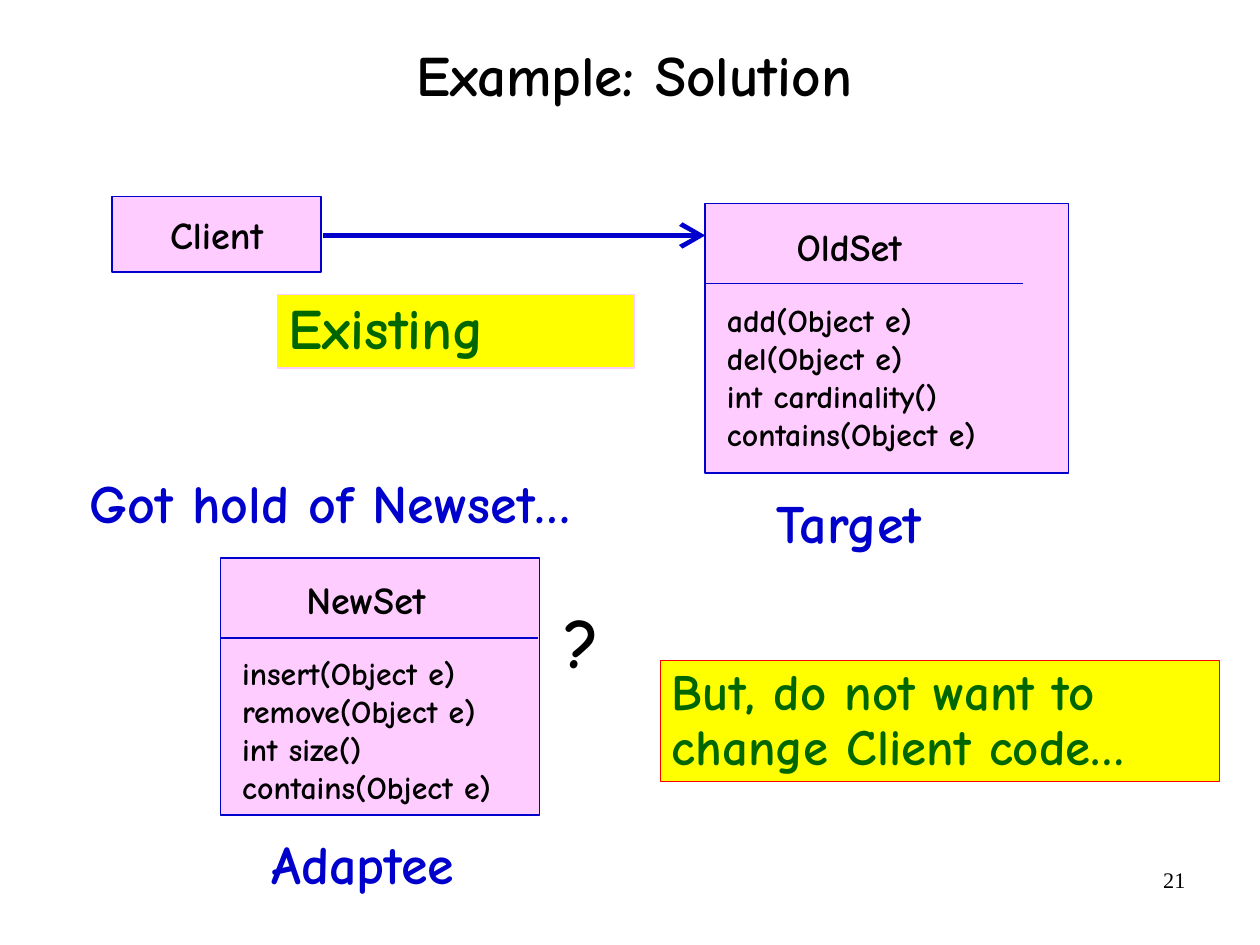
import dataclasses

import lxml.etree
import pptx
import pptx.dml.color
import pptx.enum.shapes
import pptx.enum.text
import pptx.oxml.ns
import pptx.util

RGBColor = pptx.dml.color.RGBColor
Inches = pptx.util.Inches
Pt = pptx.util.Pt
Align = pptx.enum.text.PP_ALIGN
Anchor = pptx.enum.text.MSO_ANCHOR

BLACK = RGBColor(0x00, 0x00, 0x00)
BLUE = RGBColor(0x00, 0x00, 0xCC)
GREEN = RGBColor(0x00, 0x66, 0x00)
PINK = RGBColor(0xFF, 0xCC, 0xFF)
YELLOW = RGBColor(0xFF, 0xFF, 0x00)
RED = RGBColor(0xFF, 0x00, 0x00)

COMIC = "Comic Neue"
TIMES = "Times New Roman"
METRIC = 2.54


@dataclasses.dataclass(frozen=True)
class Box:
    left: float
    top: float
    width: float
    height: float


@dataclasses.dataclass(frozen=True)
class Style:
    size: float
    color: RGBColor = BLACK
    align: Align = Align.LEFT
    anchor: Anchor = Anchor.TOP
    font: str = COMIC
    bold: bool = True
    inset: tuple[float, float] = (0.11, 0.06)
    space: float = 1.0


@dataclasses.dataclass(frozen=True)
class Label:
    box: Box
    text: str
    style: Style


@dataclasses.dataclass(frozen=True)
class Banner:
    label: Label
    edge: RGBColor


@dataclasses.dataclass(frozen=True)
class Entity:
    frame: Box
    name: Label
    body: Box
    methods: tuple[str, ...]
    rule: float


TITLE = Style(36, align=Align.CENTER, anchor=Anchor.MIDDLE, inset=(0, 0), space=0.88)
CLIENT = Style(24, align=Align.CENTER, anchor=Anchor.MIDDLE)
NAME = Style(24)
METHOD = Style(20)
ROLE = Style(34, BLUE, Align.CENTER)
NUMBER = Style(14, align=Align.RIGHT, font=TIMES, bold=False, inset=(0.1, 0.05))
NOTE = Style(36, GREEN, inset=(0.1, 0.05), space=0.9)

LABELS = (
    Label(Box(7.9, 7.53, 2.57, 0.57), "21", NUMBER),
    Label(Box(0.85, 0, 9.4, 1.37), "Example: Solution", TITLE),
    Label(Box(4.83, 5.18, 0.64, 0.84), "?", Style(44)),
    Label(Box(2.01, 7.21, 2.33, 0.68), "Adaptee", ROLE),
    Label(Box(6.26, 4.22, 2.33, 0.68), "Target", ROLE),
    Label(Box(0, 4.05, 5.78, 0.68), "Got hold of Newset…", ROLE),
)

BANNERS = (
    Banner(Label(Box(2.43, 2.58, 3.12, 0.64), "Existing", NOTE), PINK),
    Banner(
        Label(
            Box(5.78, 5.78, 4.89, 1.06),
            "But, do not want to change Client code…",
            dataclasses.replace(NOTE, size=32),
        ),
        RED,
    ),
)

ENTITIES = (
    Entity(
        Box(6.17, 1.78, 3.18, 2.36),
        Label(Box(6.86, 1.89, 1.4, 0.51), "OldSet", NAME),
        Box(6.25, 2.57, 3.09, 1.44),
        ("add(Object e)", "del(Object e)", "int cardinality()", "contains(Object e)"),
        2.78,
    ),
    Entity(
        Box(1.93, 4.88, 2.79, 2.25),
        Label(Box(2.57, 4.98, 1.49, 0.51), "NewSet", NAME),
        Box(2.01, 5.66, 2.83, 1.44),
        ("insert(Object e)", "remove(Object e)", "int size()", "contains(Object e)"),
        2.78,
    ),
)


def place(box: Box) -> tuple[int, ...]:
    return tuple(Inches(part) for part in dataclasses.astuple(box))


def write(shape, lines: tuple[str, ...], style: Style) -> None:
    frame = shape.text_frame
    frame.word_wrap = True
    frame.vertical_anchor = style.anchor
    side, edge = (Inches(part) for part in style.inset)
    frame.margin_left = frame.margin_right = side
    frame.margin_top = frame.margin_bottom = edge
    for index, line in enumerate(lines):
        para = frame.add_paragraph() if index else frame.paragraphs[0]
        para.alignment = style.align
        para.line_spacing = style.space
        run = para.add_run()
        run.text = line
        run.font.name = style.font
        run.font.size = Pt(style.size)
        run.font.bold = style.bold
        run.font.color.rgb = style.color


def add_text(slide, box: Box, lines: tuple[str, ...], style: Style) -> None:
    write(slide.shapes.add_textbox(*place(box)), lines, style)


def add_rect(slide, box: Box, fill: RGBColor, edge: RGBColor, width: float):
    kind = pptx.enum.shapes.MSO_SHAPE.RECTANGLE
    shape = slide.shapes.add_shape(kind, *place(box))
    shape.shadow.inherit = False
    shape.fill.solid()
    shape.fill.fore_color.rgb = fill
    shape.line.color.rgb = edge
    shape.line.width = Pt(width)
    return shape


def add_line(slide, left: float, right: float, top: float, width: float, arrow: bool = False) -> None:
    kind = pptx.enum.shapes.MSO_CONNECTOR.STRAIGHT
    line = slide.shapes.add_connector(kind, Inches(left), Inches(top), Inches(right), Inches(top))
    line.line.color.rgb = BLUE
    line.line.width = Pt(width)
    if arrow:
        pen = line.line._get_or_add_ln()
        tag = pptx.oxml.ns.qn("a:tailEnd")
        lxml.etree.SubElement(pen, tag, type="arrow", w="lg", len="lg")
    lxml.etree.SubElement(line._element.spPr, pptx.oxml.ns.qn("a:effectLst"))


def add_entity(slide, item: Entity) -> None:
    frame = item.frame
    add_rect(slide, frame, PINK, BLUE, 1)
    add_text(slide, item.name.box, (item.name.text,), item.name.style)
    add_text(slide, item.body, item.methods, METHOD)
    add_line(slide, frame.left, frame.left + item.rule, frame.top + 0.7, 1)


def main() -> None:
    deck = pptx.Presentation()
    deck.slide_width = Inches(28 / METRIC)
    deck.slide_height = Inches(21 / METRIC)
    slide = deck.slides.add_slide(deck.slide_layouts[6])

    client = add_rect(slide, Box(0.98, 1.72, 1.83, 0.66), PINK, BLUE, 1)
    write(client, ("Client",), CLIENT)
    for item in ENTITIES:
        add_entity(slide, item)
    add_line(slide, 2.83, 6.17, 2.06, 3, arrow=True)
    for banner in BANNERS:
        label = banner.label
        shape = add_rect(slide, label.box, YELLOW, banner.edge, 0.75)
        write(shape, (label.text,), label.style)
    for label in LABELS:
        add_text(slide, label.box, (label.text,), label.style)

    deck.save("out.pptx")


if __name__ == "__main__":
    main()
